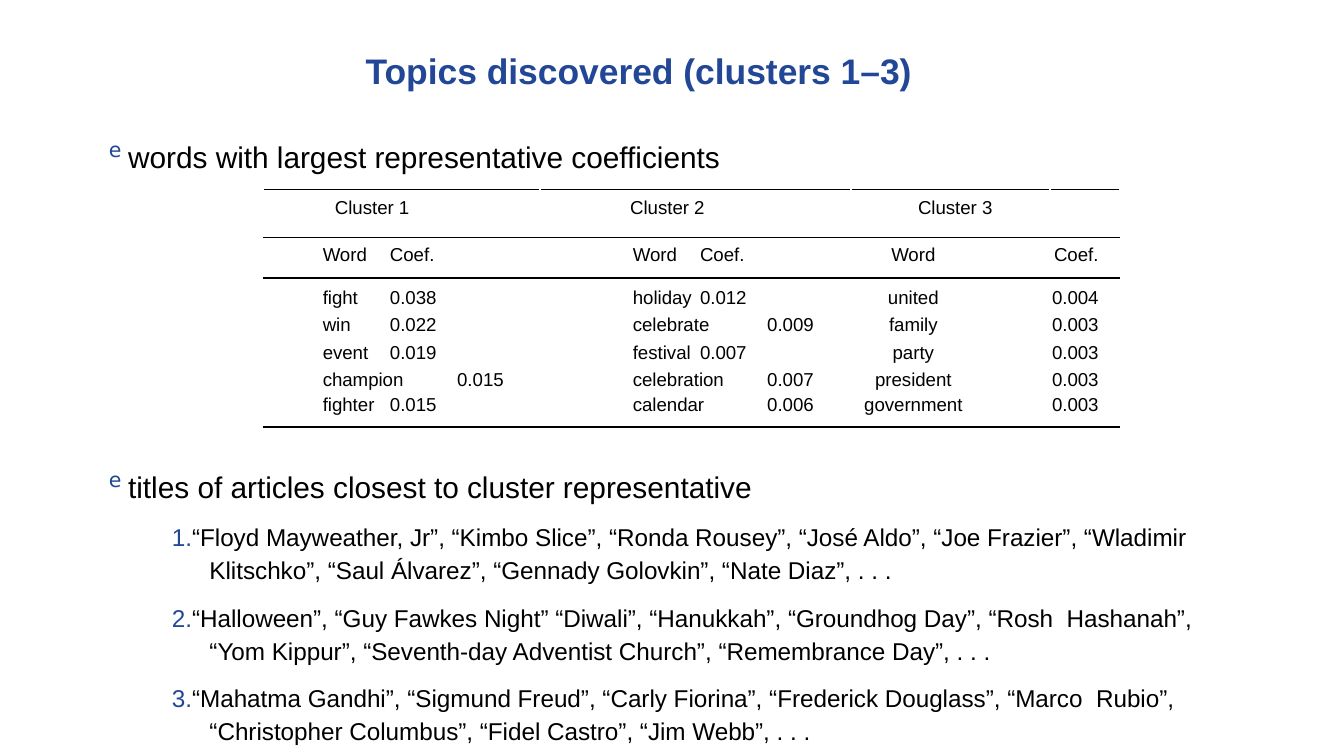
from lxml.etree import SubElement
from pptx import Presentation
from pptx.dml.color import RGBColor
from pptx.enum.text import MSO_ANCHOR, MSO_AUTO_SIZE, PP_ALIGN
from pptx.oxml.ns import qn
from pptx.util import Cm, Pt

BLUE = RGBColor(0x21, 0x47, 0x96)
BLACK = RGBColor(0, 0, 0)

CLUSTER_HEADINGS = ["Cluster 1", "Cluster 2", "Cluster 3", ""]
COLUMN_HEADINGS = ["Word\tCoef.", "Word\tCoef.", "Word", "Coef."]
WORDS = [
    ["fight\t0.038", "holiday\t0.012", "united", "0.004"],
    ["win\t0.022", "celebrate\t0.009", "family", "0.003"],
    ["event\t0.019", "festival\t0.007", "party", "0.003"],
    ["champion\t0.015", "celebration\t0.007", "president", "0.003"],
    ["fighter\t0.015", "calendar\t0.006", "government", "0.003"],
]
COLUMN_WIDTHS = [5.23, 5.87, 3.76, 1.32]
ROW_HEIGHTS = [0.76, 0.76, 0.58, 0.51, 0.51, 0.51, 0.66]
TOP_MARGINS = [0.15, 0.13, 0.15, 0.05, 0.05, 0.05, 0.05]
HEADING_INDENTS = [1.35, 1.7, 1.27, 0]
# Alignment, left margin and right margin of each column below the headings
COLUMN_LAYOUT = [
    (PP_ALIGN.LEFT, 1.12, 0),
    (PP_ALIGN.LEFT, 1.75, 0),
    (PP_ALIGN.CENTER, 0, 1.4),
    (PP_ALIGN.RIGHT, 0, 0.4),
]
# Line widths in points above and below the rows that are ruled
ROW_RULES = {0: (1, 0.75), 1: (0.75, 0.75), 2: (0.75, None), 6: (None, 1)}

ARTICLES = [
    "“Floyd Mayweather, Jr”, “Kimbo Slice”, “Ronda Rousey”, “José Aldo”, “Joe Frazier”, "
    "“Wladimir Klitschko”, “Saul Álvarez”, “Gennady Golovkin”, “Nate Diaz”, . . .",
    "“Halloween”, “Guy Fawkes Night” “Diwali”, “Hanukkah”, “Groundhog Day”, “Rosh  Hashanah”, "
    "“Yom Kippur”, “Seventh-day Adventist Church”, “Remembrance Day”, . . .",
    "“Mahatma Gandhi”, “Sigmund Freud”, “Carly Fiorina”, “Frederick Douglass”, “Marco  Rubio”, "
    "“Christopher Columbus”, “Fidel Castro”, “Jim Webb”, . . .",
]


def format_run(run, size, color=BLACK, font="Arial", bold=False):
    run.font.size = Pt(size)
    run.font.name = font
    run.font.bold = bold
    run.font.color.rgb = color


def add_run(paragraph, text, size, color=BLACK, font="Arial"):
    run = paragraph.add_run()
    run.text = text
    format_run(run, size, color, font)
    return run


def set_indent(paragraph, left, first_line=0):
    properties = paragraph._p.get_or_add_pPr()
    properties.set("marL", str(Cm(left)))
    properties.set("indent", str(Cm(first_line)))


def set_margins(target, left=0, top=0, right=0):
    """Set the inner margins of a text frame or table cell, in centimetres."""
    target.margin_left = Cm(left)
    target.margin_top = Cm(top)
    target.margin_right = Cm(right)
    target.margin_bottom = 0


def add_title(slide, text):
    title = slide.shapes.title
    title.left, title.top, title.width, title.height = Cm(6.83), Cm(0.84), Cm(11.73), Cm(0.79)
    frame = title.text_frame
    frame.text = text
    frame.auto_size = MSO_AUTO_SIZE.NONE
    frame.vertical_anchor = MSO_ANCHOR.TOP
    set_margins(frame, top=0.08)
    paragraph = frame.paragraphs[0]
    paragraph.alignment = PP_ALIGN.LEFT
    set_indent(paragraph, 0.08)
    format_run(paragraph.runs[0], 19, BLUE, bold=True)


def add_bullet_box(slide, text, top, width, height, top_margin, right_margin=0):
    """Add a text box that opens with a raised marker and a line of text."""
    box = slide.shapes.add_textbox(Cm(1.98), Cm(top), Cm(width), Cm(height))
    frame = box.text_frame
    frame.word_wrap = True
    set_margins(frame, top=top_margin, right=right_margin)
    paragraph = frame.paragraphs[0]
    set_indent(paragraph, 0.08)
    marker = add_run(paragraph, "e ", 19, BLUE, "DejaVu Sans")
    marker.font._element.set("baseline", "30000")
    add_run(paragraph, text, 16)
    return frame


def add_articles(frame):
    for number, titles in enumerate(ARTICLES, start=1):
        paragraph = frame.add_paragraph()
        set_indent(paragraph, 1.98, -0.71)
        paragraph.line_spacing = 1.13
        paragraph.space_before = Pt(7 if number == 1 else 8)
        add_run(paragraph, f"{number}.", 13, BLUE)
        add_run(paragraph, titles, 13)


def add_border(cell, side, width):
    line = SubElement(cell._tc.get_or_add_tcPr(), qn(f"a:{side}"), w=str(Pt(width)))
    fill = SubElement(line, qn("a:solidFill"))
    SubElement(fill, qn("a:srgbClr"), val=str(BLACK))


def fill_cell(cell, text, row, column):
    alignment, left, right = COLUMN_LAYOUT[column]
    if row == 0:
        alignment, left, right = PP_ALIGN.LEFT, HEADING_INDENTS[column], 0
    set_margins(cell, left, TOP_MARGINS[row], right)
    paragraph = cell.text_frame.paragraphs[0]
    paragraph.alignment = alignment
    if 2 <= row <= 5:
        paragraph.line_spacing = 1.09
    add_run(paragraph, text, 10)
    for side, width in zip(("lnT", "lnB"), ROW_RULES.get(row, (None, None))):
        if width:
            add_border(cell, side, width)
    cell.fill.background()


def add_word_table(slide):
    rows = [CLUSTER_HEADINGS, COLUMN_HEADINGS, *WORDS]
    table = slide.shapes.add_table(
        len(rows), len(COLUMN_WIDTHS), Cm(4.98), Cm(3.58),
        Cm(sum(COLUMN_WIDTHS)), Cm(sum(ROW_HEIGHTS)),
    ).table
    table.first_row = False
    table.horz_banding = False
    for column, width in zip(table.columns, COLUMN_WIDTHS):
        column.width = Cm(width)
    for row, height in zip(table.rows, ROW_HEIGHTS):
        row.height = Cm(height)
    for row, texts in enumerate(rows):
        for column, text in enumerate(texts):
            fill_cell(table.cell(row, column), text, row, column)


def main():
    presentation = Presentation()
    presentation.slide_width = Cm(25.4)
    presentation.slide_height = Cm(14.28)
    slide = presentation.slides.add_slide(presentation.slide_layouts[5])
    add_title(slide, "Topics discovered (clusters 1–3)")
    add_bullet_box(slide, "words with largest representative coefficients", 2.46, 13.26, 0.66, 0.05)
    add_word_table(slide)
    frame = add_bullet_box(
        slide, "titles of articles closest to cluster representative", 8.31, 20.96, 6.3, 0.43, 0.34
    )
    add_articles(frame)
    presentation.save("out.pptx")


if __name__ == "__main__":
    main()
